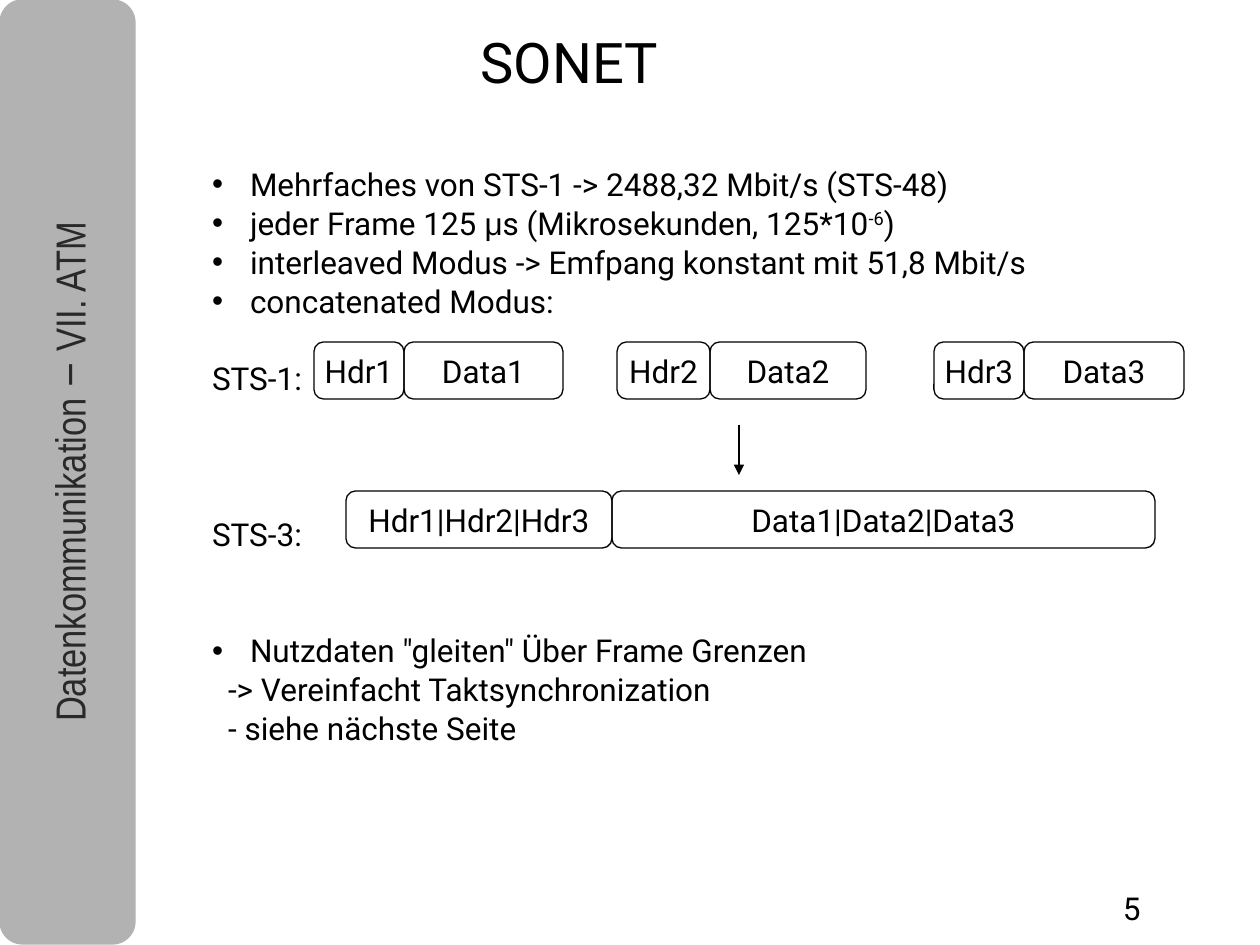
from lxml.etree import SubElement
from pptx import Presentation
from pptx.dml.color import RGBColor
from pptx.enum.shapes import MSO_CONNECTOR, MSO_SHAPE
from pptx.enum.text import MSO_ANCHOR, PP_ALIGN
from pptx.oxml.ns import qn
from pptx.util import Pt

EMU_PER_PX = 914400 / 126
COLORS = {"text": "000000", "line": "000000", "sidebar": "B2B2B2", "sidebar_text": "292929"}
BODY_FONT = "Roboto"
SIDEBAR_FONT = "Arial Narrow"
LINE_PITCH = 22.2  # points per body line


def px(length):
    return round(length * EMU_PER_PX)


def color(name):
    return RGBColor.from_string(COLORS[name])


def write(paragraph, text, *, font=BODY_FONT, size=18, ink="text", raised=None):
    """Append one formatted run; raised is a superscript offset in percent."""
    run = paragraph.add_run()
    run.text = text
    run.font.name = font
    run.font.size = Pt(size)
    run.font.color.rgb = color(ink)
    if raised:
        run.font._element.set("baseline", str(raised * 1000))


def set_frame(frame, *, inset=(0, 0), anchor=MSO_ANCHOR.TOP, wrap=True):
    frame.word_wrap = wrap
    frame.vertical_anchor = anchor
    frame.margin_left = frame.margin_right = px(inset[0])
    frame.margin_top = frame.margin_bottom = px(inset[1])
    return frame


def text_box(slide, box, **frame_format):
    shape = slide.shapes.add_textbox(*map(px, box))
    set_frame(shape.text_frame, **frame_format)
    return shape


def rounded_box(slide, box, *, fill=None, line="line"):
    shape = slide.shapes.add_shape(MSO_SHAPE.ROUNDED_RECTANGLE, *map(px, box))
    shape.shadow.inherit = False
    if fill:
        shape.fill.solid()
        shape.fill.fore_color.rgb = color(fill)
    else:
        shape.fill.background()
    shape.line.color.rgb = color(line)
    shape.line.width = Pt(0.75)
    return shape


def sidebar(slide, box):
    left, top, width, height = box
    rounded_box(slide, box, fill="sidebar", line="sidebar")
    thickness = 69
    center_x, center_y = left + width / 2 + 7, top + height / 2
    chapter = text_box(
        slide,
        (center_x - height / 2, center_y - thickness / 2, height, thickness),
        inset=(13, 6),
    )
    chapter.rotation = 270
    paragraph = chapter.text_frame.paragraphs[0]
    paragraph.alignment = PP_ALIGN.CENTER
    paragraph.line_spacing = 0.98
    for text, font in (
        ("Datenkommunikation ", SIDEBAR_FONT),
        ("–", BODY_FONT),
        (" VII. ATM", SIDEBAR_FONT),
    ):
        write(paragraph, text, font=font, size=24, ink="sidebar_text")


def title(slide, box):
    heading = text_box(slide, box, inset=(13, 6), anchor=MSO_ANCHOR.MIDDLE, wrap=False)
    paragraph = heading.text_frame.paragraphs[0]
    paragraph.alignment = PP_ALIGN.CENTER
    write(paragraph, "SONET", size=32)


def indent(paragraph, margin, bullet=False):
    properties = paragraph._p.get_or_add_pPr()
    properties.set("marL", str(px(margin)))
    properties.set("indent", str(px(-margin if bullet else 0)))
    if bullet:
        SubElement(properties, qn("a:buFont"), typeface="Arial")
        SubElement(properties, qn("a:buChar"), char="•")


def body(slide, box):
    """Bullets and row labels; each entry is (runs, margin, bullet, lines left free above)."""
    micro_runs = [
        ("jeder Frame 125 ", {}),
        ("μ", {"font": "Arial"}),
        ("s (Mikrosekunden, 125*10", {}),
        ("-6", {"raised": 33}),
        (")", {}),
    ]
    entries = [
        ("Mehrfaches von STS-1 -> 2488,32 Mbit/s (STS-48)", 38, True, 0),
        (micro_runs, 38, True, 0),
        ("interleaved Modus -> Emfpang konstant mit 51,8 Mbit/s", 38, True, 0),
        ("concatenated Modus:", 38, True, 0),
        ("STS-1:", 0, False, 1),
        ("STS-3:", 0, False, 3),
        ('Nutzdaten "gleiten" Über Frame Grenzen', 38, True, 2),
        ("-> Vereinfacht Taktsynchronization", 16, False, 0),
        ("- siehe nächste Seite", 16, False, 0),
    ]
    frame = text_box(slide, box, inset=(13, 6)).text_frame
    for index, (content, margin, bullet, free_lines) in enumerate(entries):
        paragraph = frame.add_paragraph() if index else frame.paragraphs[0]
        paragraph.line_spacing = 1.03
        paragraph.space_before = Pt(free_lines * LINE_PITCH)
        indent(paragraph, margin, bullet)
        runs = [(content, {})] if isinstance(content, str) else content
        for text, run_format in runs:
            write(paragraph, text, **run_format)


def sts_frame(slide, box, header_width, header, data):
    """A header cell and a data cell that together fill the box."""
    left, top, width, height = box
    cells = (
        (header, left, header_width),
        (data, left + header_width, width - header_width),
    )
    for text, cell_left, cell_width in cells:
        cell = rounded_box(slide, (cell_left, top, cell_width, height))
        paragraph = set_frame(cell.text_frame, anchor=MSO_ANCHOR.MIDDLE).paragraphs[0]
        paragraph.alignment = PP_ALIGN.CENTER
        write(paragraph, text)


def down_arrow(slide, x, top, bottom):
    arrow = slide.shapes.add_connector(
        MSO_CONNECTOR.STRAIGHT, px(x), px(top), px(x), px(bottom)
    )
    arrow.line.color.rgb = color("line")
    arrow.line.width = Pt(0.75)
    SubElement(arrow.line._get_or_add_ln(), qn("a:tailEnd"), type="triangle")
    SubElement(arrow._element.spPr, qn("a:effectLst"))


def multiplexing(slide, box):
    """Three STS-1 frames above the STS-3 frame that joins them."""
    left, top, _, height = box
    frame_height = 57
    single_frames = ((0, 249, 90), (303, 249, 93), (620, 250, 90))
    for number, (offset, width, header_width) in enumerate(single_frames, start=1):
        sts_frame(
            slide,
            (left + offset, top, width, frame_height),
            header_width,
            f"Hdr{number}",
            f"Data{number}",
        )
    down_arrow(slide, left + 425, top + 83, top + 133)
    sts_frame(
        slide,
        (left + 32, top + height - frame_height, 809, frame_height),
        266,
        "Hdr1|Hdr2|Hdr3",
        "Data1|Data2|Data3",
    )


def page_number(slide, box):
    paragraph = text_box(slide, box).text_frame.paragraphs[0]
    paragraph.line_spacing = 1.08
    write(paragraph, "5")


def main():
    deck = Presentation()
    deck.slide_width, deck.slide_height = px(1260), px(945)
    slide = deck.slides.add_slide(deck.slide_layouts[6])
    sidebar(slide, (0, 0, 135, 944))
    title(slide, (461, 21, 217, 80))
    body(slide, (199, 158, 1017, 673))
    multiplexing(slide, (314, 342, 870, 206))
    page_number(slide, (1123, 886, 137, 47))
    deck.save("out.pptx")


if __name__ == "__main__":
    main()
